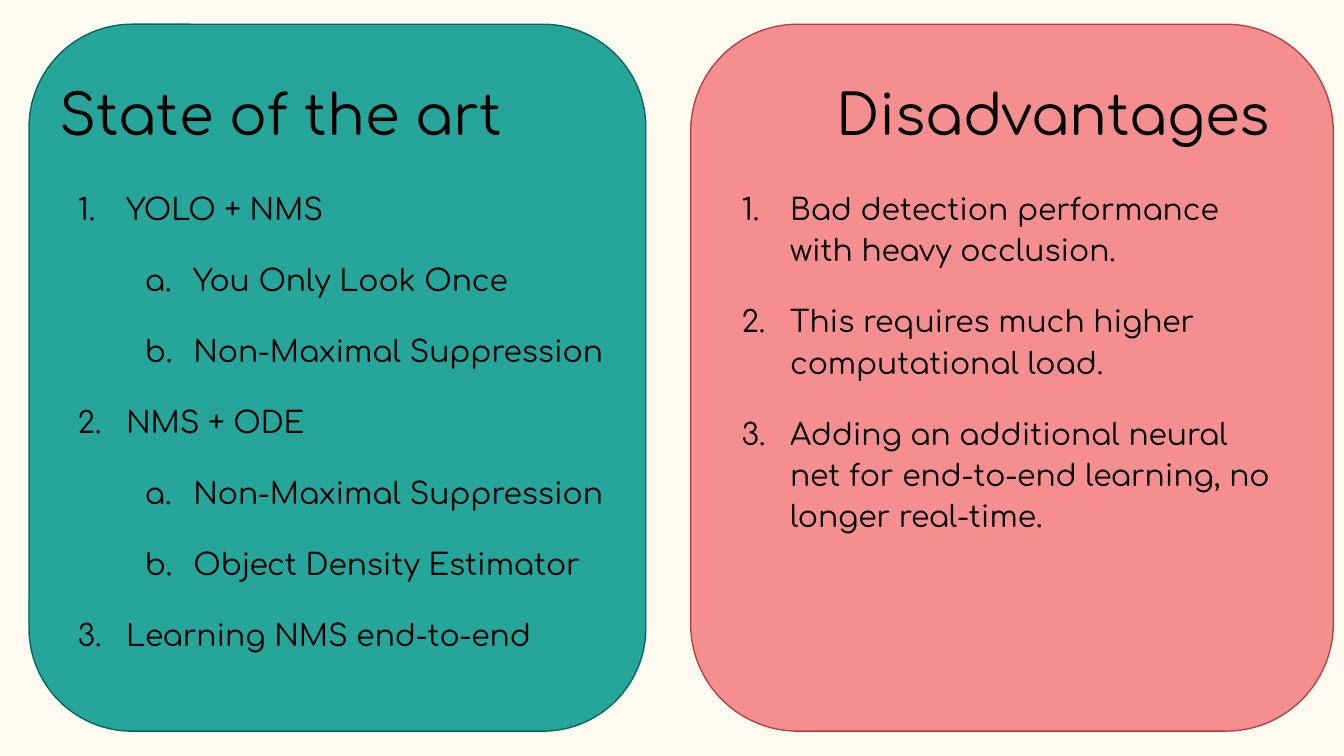
from lxml.etree import SubElement
from pptx import Presentation
from pptx.dml.color import RGBColor
from pptx.enum.shapes import MSO_SHAPE
from pptx.enum.text import MSO_ANCHOR, MSO_AUTO_SIZE, PP_ALIGN
from pptx.oxml.ns import qn
from pptx.util import Pt

CREAM = RGBColor(0xFF, 0xFB, 0xF0)
TEAL = RGBColor(0x26, 0xA6, 0x9A)
DARK_TEAL = RGBColor(0x00, 0x69, 0x5C)
PINK = RGBColor(0xF5, 0x8F, 0x8F)
DARK_RED = RGBColor(0xAF, 0x43, 0x45)
BLACK = RGBColor(0x00, 0x00, 0x00)

FONT = "Comfortaa"
LEFT_COLUMN, RIGHT_COLUMN = 24.55, 380.2
NUMBERING = ["arabicPeriod", "alphaLcPeriod"]

METHODS = [
    (0, "YOLO + NMS"),
    (1, "You Only Look Once"),
    (1, "Non-Maximal Suppression"),
    (0, "NMS + ODE"),
    (1, "Non-Maximal Suppression"),
    (1, "Object Density Estimator"),
    (0, "Learning NMS end-to-end"),
]
DRAWBACKS = [
    (0, "Bad detection performance with heavy occlusion."),
    (0, "This requires much higher computational load."),
    (0, "Adding an additional neural net for end-to-end learning, no longer real-time."),
]


def add_panel(page, left, width, fill, outline):
    panel = page.shapes.add_shape(
        MSO_SHAPE.ROUNDED_RECTANGLE, Pt(left), Pt(13), Pt(width), Pt(378.7)
    )
    panel.adjustments[0] = 0.167
    panel.shadow.inherit = False
    panel.fill.solid()
    panel.fill.fore_color.rgb = fill
    panel.line.color.rgb = outline
    panel.line.width = Pt(0.75)


def prepare_frame(box):
    frame = box.text_frame
    frame.word_wrap = True
    frame.auto_size = MSO_AUTO_SIZE.NONE
    frame.vertical_anchor = MSO_ANCHOR.TOP
    frame.margin_left = frame.margin_right = Pt(7.2)
    frame.margin_top = frame.margin_bottom = Pt(7.2)
    return frame


def format_runs(para, size):
    for span in para.runs:
        span.font.name = FONT
        span.font.size = Pt(size)
        span.font.color.rgb = BLACK


def write_heading(box, text, alignment):
    frame = prepare_frame(box)
    frame.text = text
    para = frame.paragraphs[0]
    para.alignment = alignment
    format_runs(para, 30)


def number_paragraph(para, level):
    properties = para._p.get_or_add_pPr()
    properties.set("marL", str(Pt(36 * (level + 1))))
    properties.set("indent", str(Pt(-26)))
    color = SubElement(properties, qn("a:buClr"))
    SubElement(color, qn("a:srgbClr"), val=str(BLACK))
    SubElement(properties, qn("a:buFont"), typeface=FONT)
    SubElement(properties, qn("a:buAutoNum"), type=NUMBERING[level])


def add_numbered_list(page, left, items):
    box = page.shapes.add_textbox(Pt(left), Pt(92.2), Pt(314.6), Pt(267.8))
    frame = prepare_frame(box)
    frame.text = "\n".join(text for level, text in items)
    for index, (para, (level, text)) in enumerate(zip(frame.paragraphs, items)):
        para.level = level
        para.line_spacing = 1.15
        para.space_before = Pt(16 if index else 0)
        para.space_after = Pt(16 if index == len(items) - 1 else 0)
        number_paragraph(para, level)
        format_runs(para, 16)


def main():
    deck = Presentation()
    deck.slide_width, deck.slide_height = Pt(720), Pt(405)
    page = deck.slides.add_slide(deck.slide_layouts[5])
    page.background.fill.solid()
    page.background.fill.fore_color.rgb = CREAM

    add_panel(page, 370, 344.3, PINK, DARK_RED)
    add_panel(page, 15.6, 330.4, TEAL, DARK_TEAL)

    title = page.shapes.title
    title.left, title.top = Pt(LEFT_COLUMN), Pt(35.3)
    title.width, title.height = Pt(335.5), Pt(48.2)
    title.element.getparent().append(title.element)
    write_heading(title, "State of the art", PP_ALIGN.LEFT)

    add_numbered_list(page, LEFT_COLUMN, METHODS)
    add_numbered_list(page, RIGHT_COLUMN, DRAWBACKS)

    heading = page.shapes.add_textbox(Pt(RIGHT_COLUMN), Pt(35.3), Pt(307.4), Pt(48.2))
    write_heading(heading, "Disadvantages", PP_ALIGN.RIGHT)

    deck.save("out.pptx")


if __name__ == "__main__":
    main()
